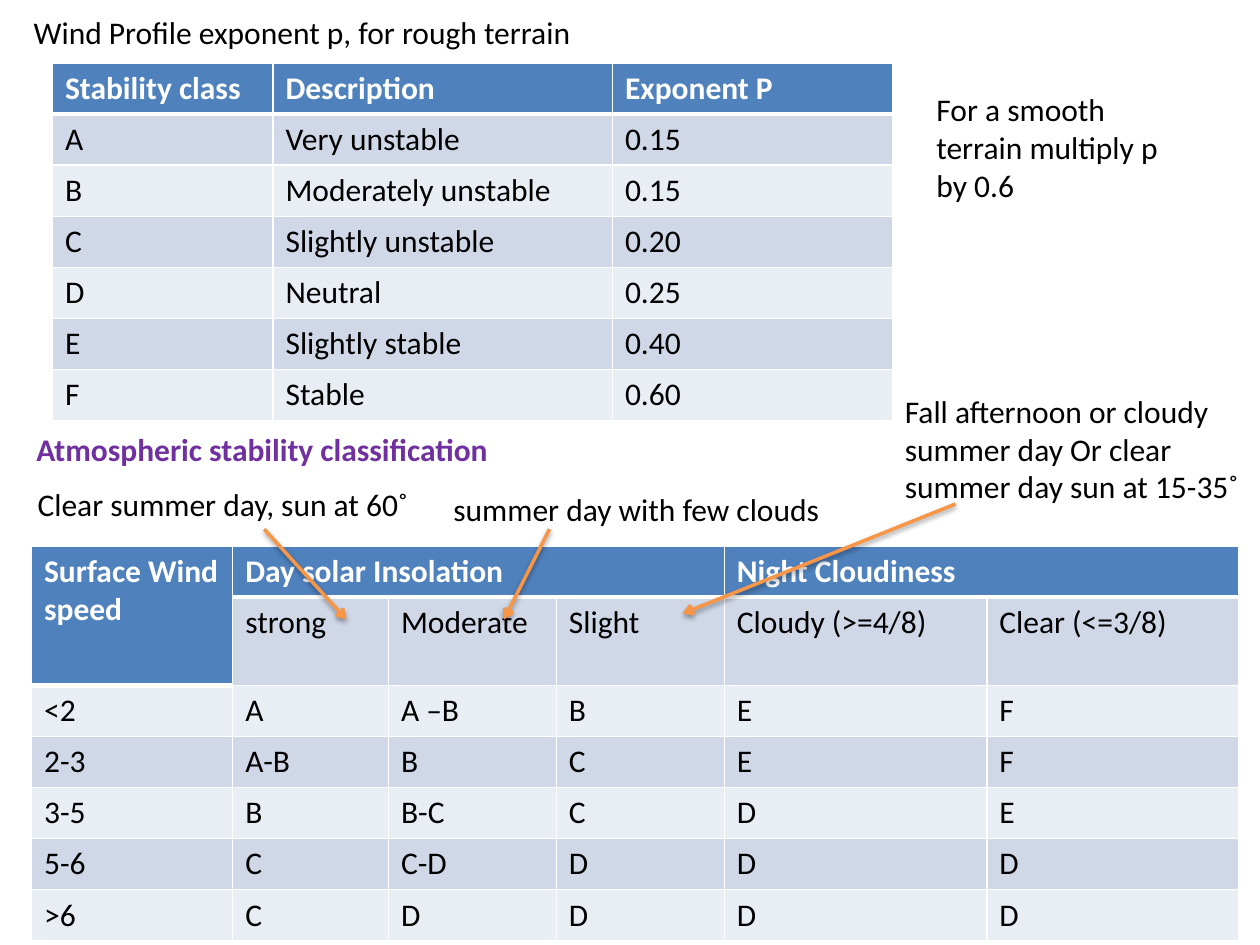
from lxml.etree import SubElement
from pptx import Presentation
from pptx.dml.color import RGBColor
from pptx.enum.shapes import MSO_CONNECTOR
from pptx.enum.text import MSO_ANCHOR, MSO_AUTO_SIZE, PP_ALIGN
from pptx.oxml.ns import qn
from pptx.util import Pt

BLACK, WHITE, PURPLE, ORANGE = "000000", "FFFFFF", "7030A0", "F79646"
HEADER, BANDS = "4F81BD", ("E9EDF4", "D0D8E8")
ROW_HEIGHT = 29.2

EXPONENT_ROWS = [
    ("Stability class", "Description", "Exponent P"),
    ("A", "Very unstable", "0.15"),
    ("B", "Moderately unstable", "0.15"),
    ("C", "Slightly unstable", "0.20"),
    ("D", "Neutral", "0.25"),
    ("E", "Slightly stable", "0.40"),
    ("F", "Stable", "0.60"),
]
STABILITY_ROWS = [
    ("Surface Wind speed", "Day solar Insolation", "", "", "Night Cloudiness", ""),
    ("", "strong", "Moderate", "Slight", "Cloudy (>=4/8)", "Clear (<=3/8)"),
    ("<2", "A", "A –B", "B", "E", "F"),
    ("2-3", "A-B", "B", "C", "E", "F"),
    ("3-5", "B", "B-C", "C", "D", "E"),
    ("5-6", "C", "C-D", "D", "D", "D"),
    (">6", "C", "D", "D", "D", "D"),
]


def rgb(value):
    return RGBColor.from_string(value)


def write(frame, text, color=BLACK, bold=False):
    para = frame.paragraphs[0]
    para.alignment = PP_ALIGN.LEFT
    span = para.add_run()
    span.text = text
    span.font.name = "Calibri"
    span.font.size = Pt(18)
    span.font.bold = bold
    span.font.color.rgb = rgb(color)


def fill_box(box, text, wrap, **style):
    frame = box.text_frame
    frame.word_wrap = wrap
    frame.auto_size = MSO_AUTO_SIZE.SHAPE_TO_FIT_TEXT
    frame.vertical_anchor = MSO_ANCHOR.TOP
    write(frame, text, **style)


def add_title(page, text, left, top, width, height):
    box = page.shapes.title
    box.left, box.top, box.width, box.height = map(Pt, (left, top, width, height))
    fill_box(box, text, wrap=False)


def add_label(page, text, left, top, width, height, wrap=False, **style):
    box = page.shapes.add_textbox(Pt(left), Pt(top), Pt(width), Pt(height))
    fill_box(box, text, wrap, **style)


def set_borders(cell, widths):
    properties = cell._tc.get_or_add_tcPr()
    for side, width in widths.items():
        line = SubElement(properties, qn(f"a:ln{side}"), w=str(Pt(width)))
        solid = SubElement(line, qn("a:solidFill"))
        SubElement(solid, qn("a:srgbClr"), val=WHITE)


def add_grid(page, rows, left, top, widths, merges=()):
    frame = page.shapes.add_table(len(rows), len(widths), Pt(left), Pt(top),
                                  Pt(sum(widths)), Pt(ROW_HEIGHT * len(rows)))
    table = frame.table
    for column, width in zip(table.columns, widths):
        column.width = Pt(width)
    for row in table.rows:
        row.height = Pt(ROW_HEIGHT)
    for first, last in merges:
        table.cell(*first).merge(table.cell(*last))

    for r, values in enumerate(rows):
        for c, value in enumerate(values):
            cell = table.cell(r, c)
            # A cell merged down from the first row belongs to the header
            is_header = r == 0 or ((0, c), (r, c)) in merges
            borders = {"L": 1, "R": 1}
            if r == 0:
                borders["T"] = 1
            borders["B"] = 3 if is_header else 1
            set_borders(cell, borders)
            cell.fill.solid()
            cell.fill.fore_color.rgb = rgb(HEADER if is_header else BANDS[r % 2])
            if value:
                write(cell.text_frame, value, WHITE if is_header else BLACK, is_header)


def add_arrow(page, x1, y1, x2, y2):
    arrow = page.shapes.add_connector(MSO_CONNECTOR.STRAIGHT,
                                      Pt(x1), Pt(y1), Pt(x2), Pt(y2))
    arrow.line.width = Pt(2)
    arrow.line.color.rgb = rgb(ORANGE)
    SubElement(arrow.line._get_or_add_ln(), qn("a:tailEnd"), type="arrow")
    # Soft shadow straight below the line
    effects = SubElement(arrow._element.spPr, qn("a:effectLst"))
    shadow = SubElement(effects, qn("a:outerShdw"), blurRad=str(Pt(3.1)),
                        dist=str(Pt(1.6)), dir="5400000", rotWithShape="0")
    tint = SubElement(shadow, qn("a:srgbClr"), val=BLACK)
    SubElement(tint, qn("a:alpha"), val="38000")


def main():
    deck = Presentation()
    deck.slide_width, deck.slide_height = Pt(720), Pt(540)
    page = deck.slides.add_slide(deck.slide_layouts[5])

    # Wind profile exponents
    add_title(page, "Wind Profile exponent p, for rough terrain", 12, 3.6, 325.4, 29)
    add_grid(page, EXPONENT_ROWS, 30, 36, (126, 194, 160))
    add_label(page, "For a smooth terrain multiply p by 0.6", 528, 48, 156, 72.7, wrap=True)

    # Stability classes by wind speed and sky
    add_label(page, "Atmospheric stability classification", 13.7, 242, 274.3, 29,
              color=PURPLE, bold=True)
    add_grid(page, STABILITY_ROWS, 18, 312, (115, 89, 96, 96, 150, 144),
             merges=(((0, 0), (1, 0)), ((0, 1), (0, 3)), ((0, 4), (0, 5))))

    # Notes on the insolation columns
    add_label(page, "Clear summer day, sun at 60˚", 14.4, 273.6, 229, 29)
    add_arrow(page, 151, 302.4, 198, 354)
    add_label(page, "summer day with few clouds", 252, 276.5, 226, 29)
    add_arrow(page, 314, 302.4, 288, 354)
    add_label(page, "Fall afternoon or cloudy summer day Or clear summer day sun at 15-35˚",
              510, 220.3, 210, 72.7, wrap=True)
    add_arrow(page, 546, 288, 390, 350.6)

    deck.save("out.pptx")


if __name__ == "__main__":
    main()
